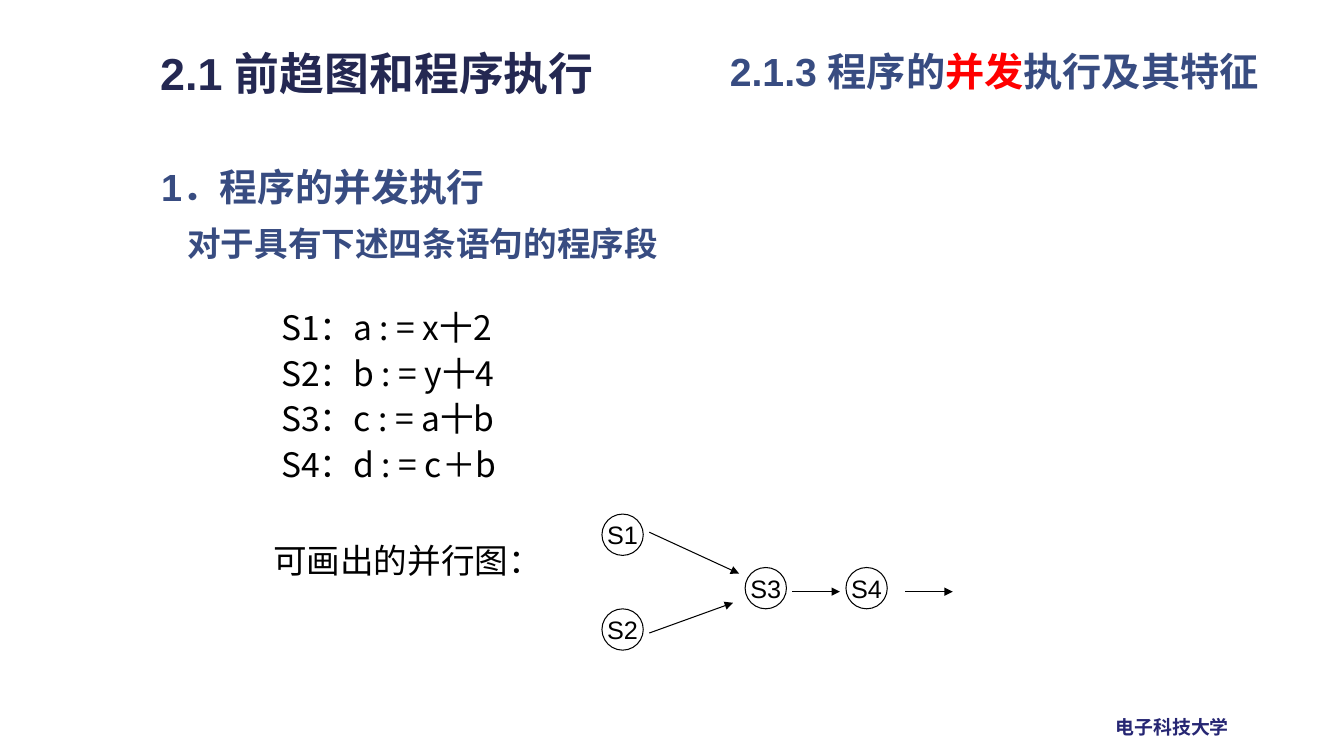
from lxml import etree
from pptx import Presentation
from pptx import util as u
from pptx.dml import color
from pptx.enum import shapes, text
from pptx.oxml import ns

LATIN, CHINESE = "Arial", "Noto Sans CJK SC"
BLUE, NAVY, BLACK = "384C81", "242852", "000000"

presentation = Presentation()
presentation.slide_width = u.Inches(13.33)
presentation.slide_height = u.Inches(7.5)
slide = presentation.slides.add_slide(presentation.slide_layouts[6])


def rgb(value):
    return color.RGBColor.from_string(value)


def write(paragraph, words, size, name, ink, bold=False):
    run = paragraph.add_run()
    run.text = words
    run.font.size = u.Pt(size)
    run.font.name = name
    run.font.bold = bold
    run.font.color.rgb = rgb(ink)
    east_asian = etree.SubElement(run.font._element, ns.qn("a:ea"))
    east_asian.set("typeface", CHINESE)


text_boxes = [
    ((10.97, 7.05, 1.34, 0.33), False, [
        (0, 1, 0, [("电子科技大学", 13.5, CHINESE, "262673", True)])]),
    ((7.14, 0.47, 6.11, 0.56), True, [
        (0, 0.9, 0, [("2.1.3 程序的", 28, LATIN, BLUE, True),
                     ("并发", 28, LATIN, "FF0000", True),
                     ("执行及其特征", 28, LATIN, BLUE, True)])]),
    ((1.43, 1.48, 9, 3.99), True, [
        (0.07, 1.2, 0, [("1．程序的并发执行", 27, LATIN, BLUE, True)]),
        (0.33, 1.2, 4.5, [("对于具有下述四条语句的程序段", 24, LATIN, BLUE, True)])]),
    ((1.49, 0.4, 4.88, 0.64), True, [
        (0, 1, 0, [("2.1 前趋图和程序执行", 32, LATIN, NAVY, True)])]),
    ((1.94, 3.1, 6.75, 1.87), True, [
        (0.75, 0.72, 0, [("S1：a : = x十2", 24, CHINESE, BLACK)]),
        (0.75, 0.72, 11.8, [("S2：b : = y十4", 24, CHINESE, BLACK)]),
        (0.75, 0.72, 11.8, [("S3：c : = a十b", 24, CHINESE, BLACK)]),
        (0.75, 0.72, 11.8, [("S4：d : = c＋b", 24, CHINESE, BLACK)]),
        (0.67, 0.72, 48, [("可画出的并行图：", 24, CHINESE, BLACK)])]),
]
for place, wrap, paragraphs in text_boxes:
    frame = slide.shapes.add_textbox(*map(u.Inches, place)).text_frame
    frame.word_wrap = wrap
    for index, (indent, line_spacing, space_before, runs) in enumerate(paragraphs):
        paragraph = frame.add_paragraph() if index else frame.paragraphs[0]
        paragraph.line_spacing = line_spacing
        paragraph.space_before = u.Pt(space_before)
        paragraph._p.get_or_add_pPr().set("marL", str(u.Inches(indent)))
        for run in runs:
            write(paragraph, *run)

DIAMETER = 0.41
nodes = {"S1": (5.97, 5.1), "S2": (5.97, 6.04), "S3": (7.39, 5.63), "S4": (8.39, 5.63)}
for label, (left, top) in nodes.items():
    node = slide.shapes.add_shape(
        shapes.MSO_SHAPE.OVAL, *map(u.Inches, (left, top, DIAMETER, DIAMETER)))
    node.shadow.inherit = False
    node.fill.background()
    node.line.color.rgb = rgb(BLACK)
    node.line.width = u.Pt(0.75)
    frame = node.text_frame
    frame.word_wrap = False
    frame.vertical_anchor = text.MSO_ANCHOR.MIDDLE
    frame.paragraphs[0].alignment = text.PP_ALIGN.CENTER
    write(frame.paragraphs[0], label, 18, LATIN, BLACK)

arrows = [
    (7.86, 5.87, 8.33, 5.87),
    (8.98, 5.87, 9.45, 5.87),
    (6.44, 5.28, 7.33, 5.69),
    (6.44, 6.28, 7.27, 5.98),
]
for ends in arrows:
    arrow = slide.shapes.add_connector(
        shapes.MSO_CONNECTOR.STRAIGHT, *map(u.Inches, ends))
    arrow.line.color.rgb = rgb(BLACK)
    arrow.line.width = u.Pt(0.75)
    head = etree.SubElement(arrow.line._get_or_add_ln(), ns.qn("a:tailEnd"))
    head.set("type", "triangle")
    etree.SubElement(arrow._element.spPr, ns.qn("a:effectLst"))

presentation.save("out.pptx")
